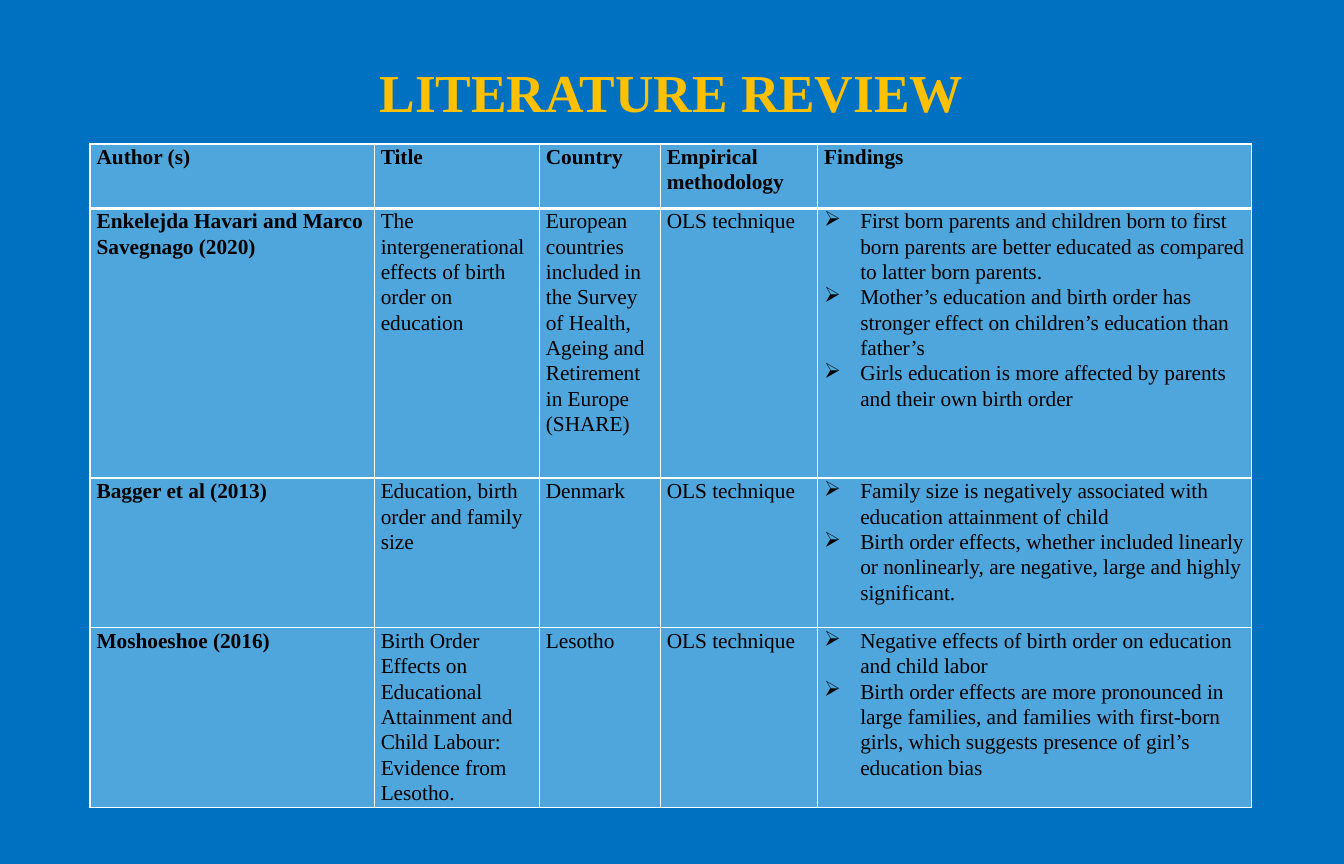
from lxml.etree import SubElement
from pptx import Presentation
from pptx.dml.color import RGBColor
from pptx.enum.text import MSO_ANCHOR as ANCHOR, PP_ALIGN as ALIGN
from pptx.oxml.ns import qn
from pptx.util import Pt

BULLET = "➢"
HEADER = ["Author (s)", "Title", "Country", "Empirical methodology", "Findings"]
STUDIES = [
    ["Enkelejda Havari and Marco Savegnago (2020)",
     "The intergenerational effects of birth order on education",
     "European countries included in the Survey of Health, Ageing and "
     "Retirement in Europe (SHARE)",
     "OLS technique",
     ["First born parents and children born to first born parents are better "
      "educated as compared to latter born parents.",
      "Mother’s education and birth order has stronger effect on children’s "
      "education than father’s",
      "Girls education is more affected by parents and their own birth order"]],
    ["Bagger et al (2013)",
     "Education, birth order and family size",
     "Denmark",
     "OLS technique",
     ["Family size is negatively associated with education attainment of child",
      "Birth order effects, whether included linearly or nonlinearly, are "
      "negative, large and highly significant."]],
    ["Moshoeshoe (2016)",
     "Birth Order Effects on Educational Attainment and Child Labour: "
     "Evidence from Lesotho.",
     "Lesotho",
     "OLS technique",
     ["Negative effects of birth order on education and child labor",
      "Birth order effects are more pronounced in large families, and families "
      "with first-born girls, which suggests presence of girl’s education bias"]],
]
COL_WIDTHS = [213.12, 123.84, 90.72, 118.08, 325.44]
ROW_HEIGHTS = [48.24, 202.32, 112.32, 134.64]


def rgb(color):
    return RGBColor.from_string(color)


def write(tf, text, size=16, color="000000", bold=False, align=ALIGN.LEFT, spacing=1.07):
    """Fill a text frame with one string, or with a bulleted list of strings."""
    bulleted = isinstance(text, list)
    for i, line in enumerate(text if bulleted else [text]):
        p = tf.paragraphs[0] if i == 0 else tf.add_paragraph()
        p.alignment, p.line_spacing = align, spacing
        p.space_before = p.space_after = Pt(0)
        if bulleted:
            pPr = p._p.get_or_add_pPr()
            pPr.set("marL", str(Pt(27)))
            pPr.set("indent", str(-Pt(27)))
            SubElement(pPr, qn("a:buChar"), char=BULLET)
        r = p.add_run()
        r.text = line
        r.font.name, r.font.size, r.font.bold = "Times New Roman", Pt(size), bold
        r.font.color.rgb = rgb(color)


prs = Presentation()
prs.slide_width, prs.slide_height = Pt(1008), Pt(648)
slide = prs.slides.add_slide(prs.slide_layouts[5])
slide.background.fill.solid()
slide.background.fill.fore_color.rgb = rgb("0070C0")

title = slide.shapes.title
title.left, title.top, title.width, title.height = Pt(69.12), Pt(34.56), Pt(869.04), Pt(73.44)
title.text_frame.vertical_anchor = ANCHOR.MIDDLE
write(title.text_frame, "LITERATURE REVIEW", size=40, color="FFC000", bold=True,
      align=ALIGN.CENTER, spacing=0.9)

table = slide.shapes.add_table(len(ROW_HEIGHTS), len(COL_WIDTHS), Pt(67.5), Pt(108),
                               Pt(sum(COL_WIDTHS)), Pt(sum(ROW_HEIGHTS))).table
for column, width in zip(table.columns, COL_WIDTHS):
    column.width = Pt(width)
for row, height in zip(table.rows, ROW_HEIGHTS):
    row.height = Pt(height)

for i, texts in enumerate([HEADER] + STUDIES):
    for j, text in enumerate(texts):
        cell = table.cell(i, j)
        cell.margin_left = cell.margin_right = Pt(5)
        cell.margin_top = cell.margin_bottom = Pt(0)
        write(cell.text_frame, text, bold=i == 0 or j == 0)
        tcPr = cell._tc.get_or_add_tcPr()
        for side in "LRTB":
            under_header = (i, side) in [(0, "B"), (1, "T")]
            ln = SubElement(tcPr, qn(f"a:ln{side}"), w=str(Pt(3 if under_header else 1)))
            SubElement(SubElement(ln, qn("a:solidFill")), qn("a:srgbClr"), val="FFFFFF")
        cell.fill.solid()
        cell.fill.fore_color.rgb = rgb("4EA6DC")

prs.save("out.pptx")
